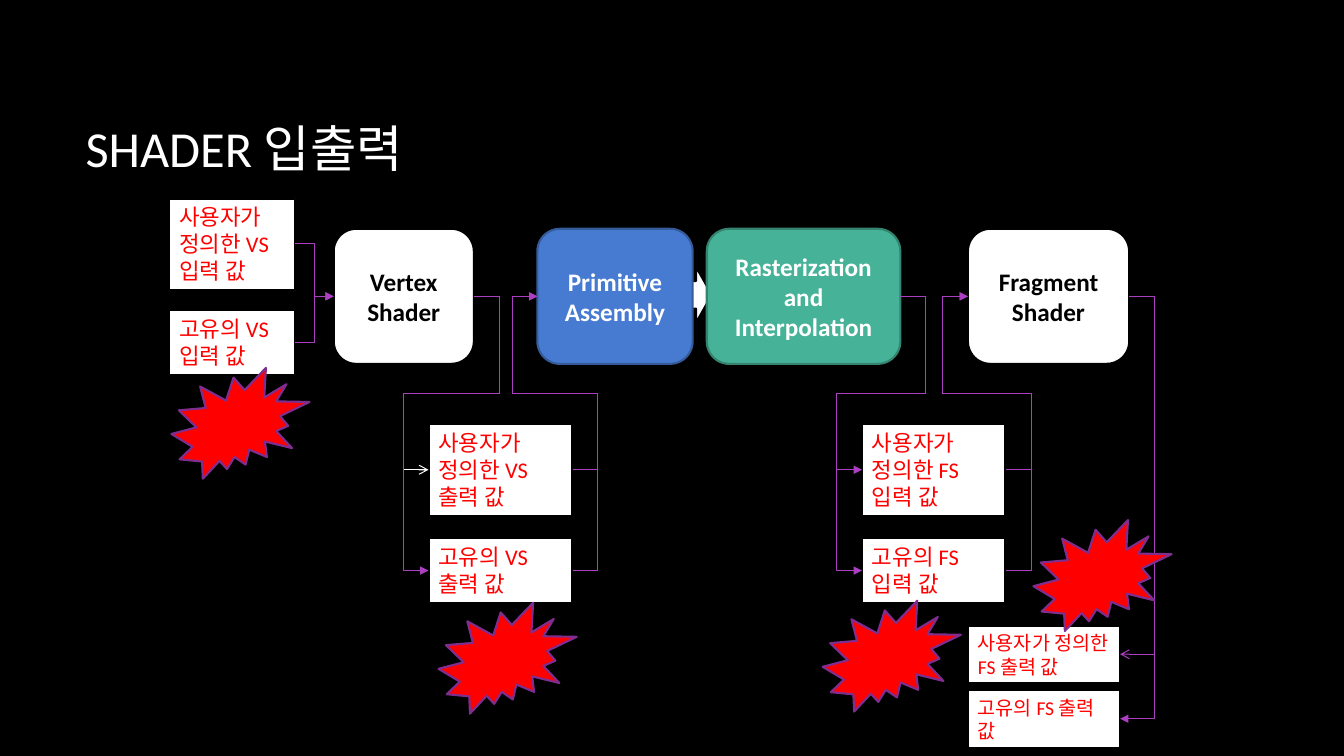
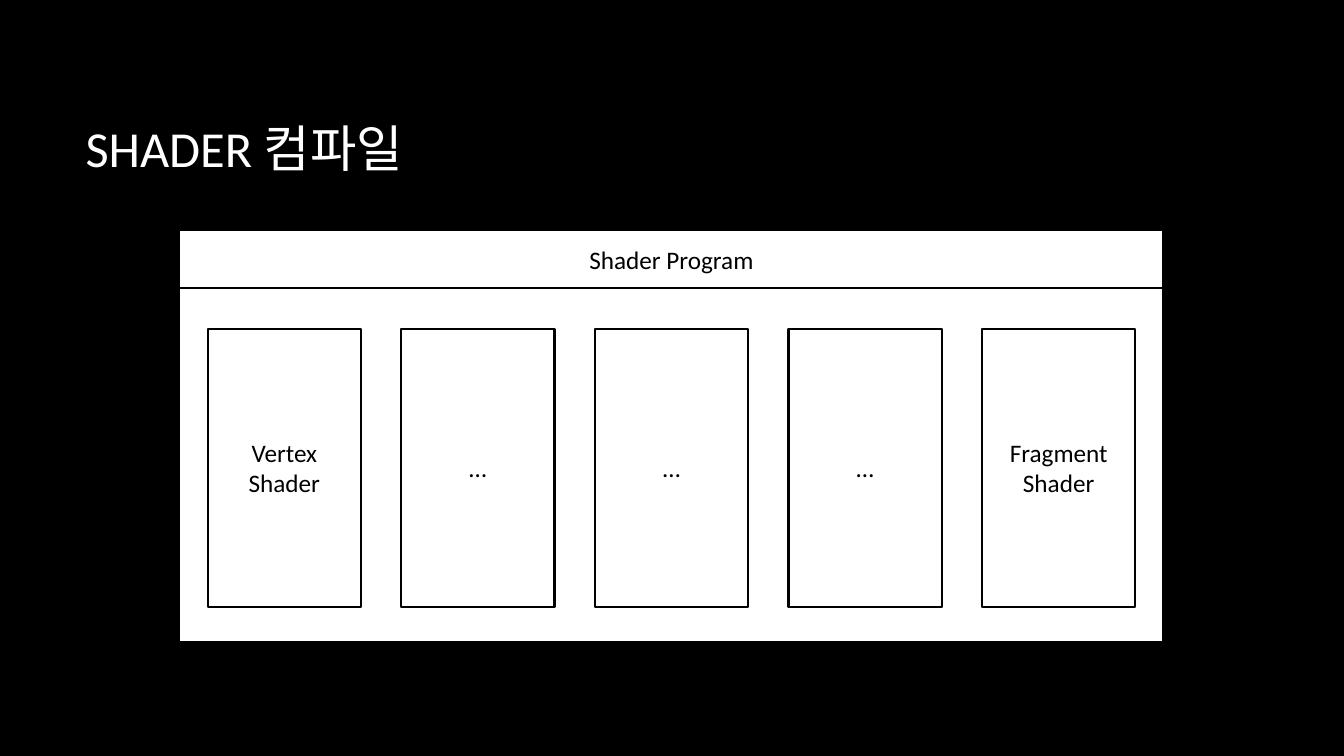
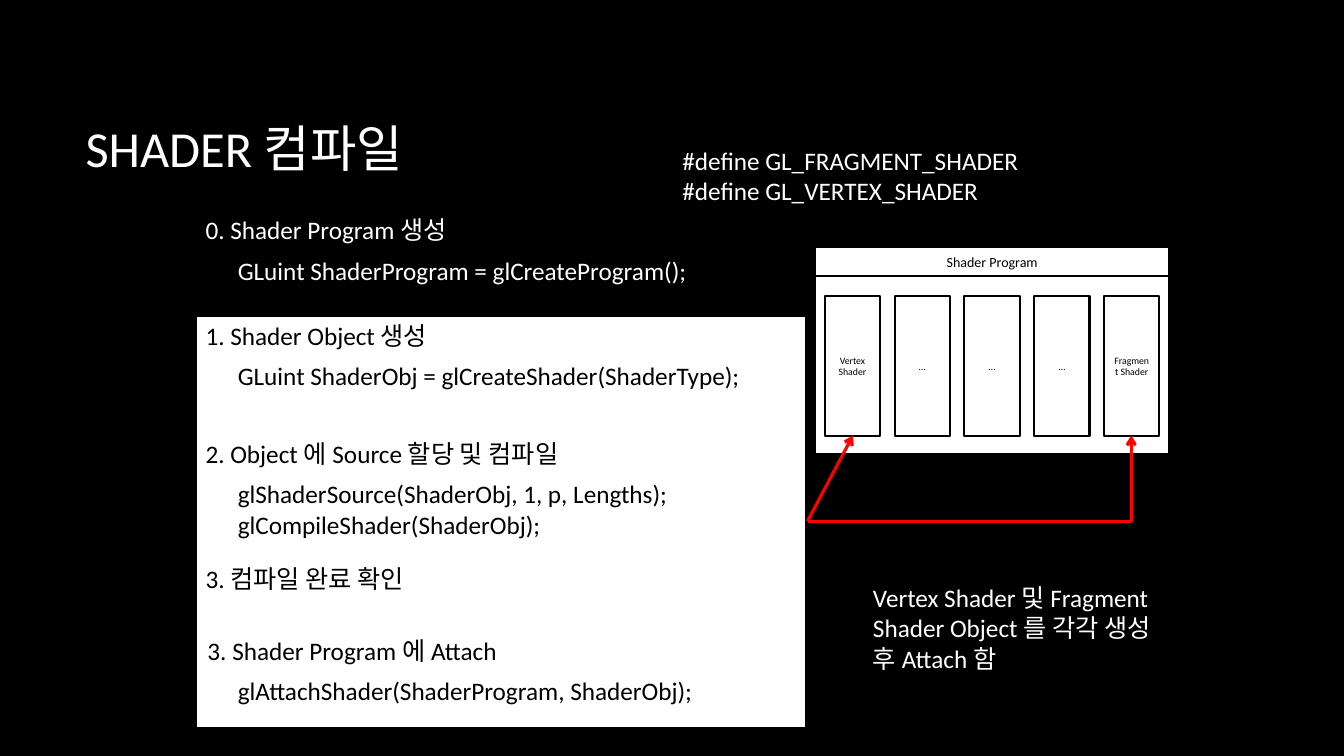
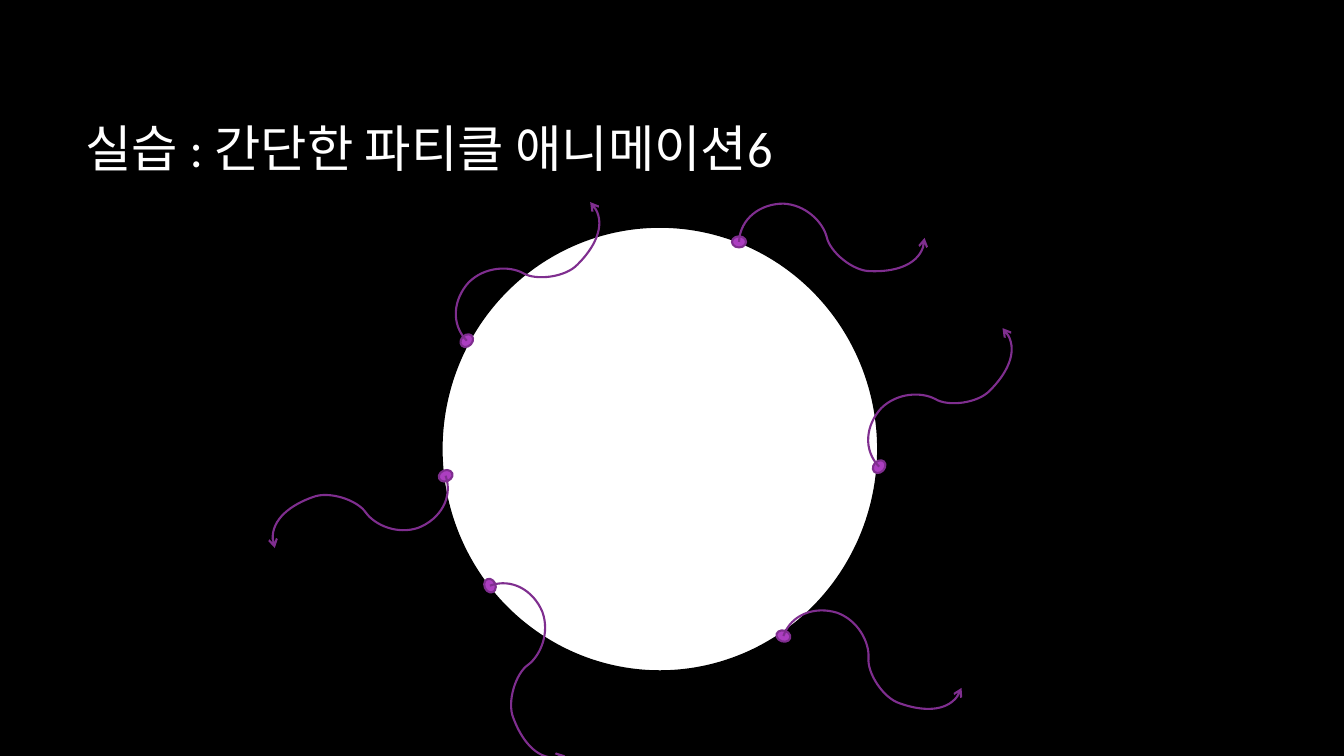
import math

from lxml import etree
from pptx import Presentation
from pptx import util as u
from pptx.dml.color import RGBColor
from pptx.enum import shapes, text
from pptx.oxml.ns import qn

FONT = "Calibri"
BLACK, WHITE, RED = "000000", "FFFFFF", "FF0000"
BLUE, DARK_BLUE = "477BD1", "355B9B"
GREEN, DARK_GREEN = "46B298", "348470"
PURPLE, DARK_PURPLE = "AC3EC1", "7F2E8F"
KIND = shapes.MSO_SHAPE
MIDDLE, TOP = text.MSO_ANCHOR.MIDDLE, text.MSO_ANCHOR.TOP

# Points relative to the start: three per Bezier segment
WAVE = [(0, 0),
        (1, -23), (21, -38), (44, -38),
        (66, -37), (83, -20), (87, -5),
        (90, 10), (113, 29), (130, 29),
        (153, 30), (184, 22), (184, -4)]


def px(n):
    """EMU for a length at 100 px to the inch."""
    return round(n * 9144)


def rgb(value):
    return RGBColor.from_string(value)


def write(sp, content, size, color, bold=False, center=False, anchor=TOP, grow=False):
    tf = sp.text_frame
    tf.text = content
    tf.word_wrap = True
    tf.vertical_anchor = anchor
    if grow:
        tf.auto_size = text.MSO_AUTO_SIZE.SHAPE_TO_FIT_TEXT
    for p in tf.paragraphs:
        p.alignment = text.PP_ALIGN.CENTER if center else text.PP_ALIGN.LEFT
        p.font.name = FONT
        p.font.size = u.Pt(size)
        p.font.bold = bold
        p.font.color.rgb = rgb(color)


def outline(sp, color, width, head=None):
    sp.line.color.rgb = rgb(color)
    sp.line.width = u.Pt(width)
    if head:
        ln = sp._element.spPr.find(qn("a:ln"))
        etree.SubElement(ln, qn("a:tailEnd"), type=head)


def shape(parent, kind, box, fill=WHITE, line=BLACK):
    sp = parent.shapes.add_shape(kind, *map(px, box))
    sp.shadow.inherit = False
    sp.fill.solid()
    sp.fill.fore_color.rgb = rgb(fill)
    outline(sp, line, 1.5)
    return sp


def label(s, box, content, size=18, color=WHITE, **style):
    sp = s.shapes.add_textbox(*map(px, box))
    write(sp, content, size, color, **style)


def connector(s, start, end, bends=None, color=PURPLE, width=0.75, head="triangle"):
    """Straight without bends; else an elbow turning at the given x, y, x."""
    straight = bends is None
    kind = shapes.MSO_CONNECTOR.STRAIGHT if straight else shapes.MSO_CONNECTOR.ELBOW
    cx = s.shapes.add_connector(kind, *map(px, start + end))
    spPr = cx._element.spPr
    if not straight:
        geom = spPr.find(qn("a:prstGeom"))
        geom.set("prst", f"bentConnector{len(bends) + 2}")
        av = geom.find(qn("a:avLst"))
        for i, bend in enumerate(bends):
            a, b = start[i % 2], end[i % 2]
            ratio = round((bend - a) / (b - a) * 100000)
            etree.SubElement(av, qn("a:gd"), name=f"adj{i + 1}", fmla=f"val {ratio}")
    outline(cx, color, width, head)
    etree.SubElement(spPr, qn("a:effectLst"))


def wave(s, x, y, angle):
    """A curved arrow: WAVE turned by angle degrees about its start."""
    cos, sin = math.cos(math.radians(angle)), math.sin(math.radians(angle))
    points = [(px(x + a * cos - b * sin), px(y + a * sin + b * cos)) for a, b in WAVE]
    builder = s.shapes.build_freeform(*points[0])
    builder.add_line_segments(points[1:], close=False)
    sp = builder.convert_to_shape()
    lines = list(sp._element.iter(qn("a:lnTo")))
    for i in range(0, len(lines), 3):
        curve = etree.Element(qn("a:cubicBezTo"))
        lines[i].addprevious(curve)
        for ln in lines[i:i + 3]:
            curve.append(ln[0])
            ln.getparent().remove(ln)
    sp.shadow.inherit = False
    sp.fill.background()
    outline(sp, DARK_PURPLE, 1.5, "arrow")


def titled_slide(prs, title):
    s = prs.slides.add_slide(prs.slide_layouts[6])
    label(s, (75, 67, 1108, 159), title, 36, anchor=MIDDLE)
    return s


def program(s, x, y, w, h, title_size, stage_size):
    """Shader program frame with five stages, scaled to the given box."""
    kx, ky = w / 976, h / 409
    group = s.shapes.add_group_shape()
    shape(group, KIND.RECTANGLE, (x, y, w, h))
    for i, name in enumerate(["Vertex Shader", "…", "…", "…", "Fragment Shader"]):
        box = (x + (28 + 192 * i) * kx, y + 98 * ky, 152 * kx, 276 * ky)
        sp = shape(group, KIND.RECTANGLE, box)
        write(sp, name, stage_size, BLACK, center=True, anchor=MIDDLE)
    sp = shape(group, KIND.RECTANGLE, (x, y, w, 58 * ky))
    write(sp, "Shader Program", title_size, BLACK, center=True, anchor=MIDDLE)


def inputs_outputs(prs):
    s = titled_slide(prs, "SHADER 입출력")
    shape(s, KIND.RIGHT_ARROW, (675, 265, 31, 55))
    for x, w, name, fill, line, color in [
            (331, 139, "Vertex Shader", WHITE, BLACK, BLACK),
            (533, 154, "Primitive Assembly", BLUE, DARK_BLUE, WHITE),
            (701, 192, "Rasterization and Interpolation", GREEN, DARK_GREEN, WHITE),
            (960, 160, "Fragment Shader", WHITE, BLACK, BLACK)]:
        sp = shape(s, KIND.ROUNDED_RECTANGLE, (x, 227, w, 134), fill, line)
        write(sp, name, 18, color, bold=True, center=True, anchor=MIDDLE)

    for box, content, size in [
            ((168, 197, 125, 91), "사용자가 정의한 VS 입력 값", 16),
            ((168, 308, 125, 64), "고유의 VS입력 값", 16),
            ((425, 421, 142, 91), "사용자가 정의한 VS 출력 값", 16),
            ((425, 534, 142, 64), "고유의 VS 출력 값", 16),
            ((855, 421, 142, 91), "사용자가 정의한 FS 입력 값", 16),
            ((855, 534, 142, 64), "고유의 FS 입력 값", 16),
            ((960, 621, 151, 57), "사용자가 정의한 FS 출력 값", 14),
            ((960, 685, 151, 57), "고유의 FS 출력 값", 14)]:
        write(shape(s, KIND.RECTANGLE, box), content, size, RED, grow=True)

    mid, turn = 294, 390
    for y in (242, 340):
        connector(s, (293, y), (331, mid), (312,))
    for y, color, head in [(466, WHITE, "arrow"), (566, PURPLE, "triangle")]:
        connector(s, (470, mid), (425, y), (495, turn, 400), color, head=head)
        connector(s, (568, y), (533, mid), (593, turn, 508))
        connector(s, (893, mid), (855, y), (918, turn, 830))
        connector(s, (998, y), (960, mid), (1023, turn, 935))
    for y, head in [(649, "arrow"), (713, "triangle")]:
        connector(s, (1120, mid), (1111, y), (1145,), head=head)
    for x, y in [(170, 365), (435, 598), (816, 596), (1025, 516)]:
        shape(s, KIND.EXPLOSION2, (x, y, 137, 110), RED, DARK_PURPLE)


def compile_overview(prs):
    s = titled_slide(prs, "SHADER 컴파일")
    program(s, 178, 228, 976, 409, 18, 18)


def compile_steps(prs):
    s = titled_slide(prs, "SHADER 컴파일")
    program(s, 808, 245, 352, 205, 10, 7)
    shape(s, KIND.RECTANGLE, (194, 313, 606, 409))
    step, code = 194, 226
    for x, y, w, h, color, content in [
            (667, 139, 500, 71, WHITE,
             "#define GL_FRAGMENT_SHADER\n#define GL_VERTEX_SHADER"),
            (step, 208, 504, 40, WHITE, "0. Shader Program 생성"),
            (code, 248, 642, 40, WHITE, "GLuint ShaderProgram = glCreateProgram();"),
            (step, 313, 504, 40, BLACK, "1. Shader Object 생성"),
            (code, 353, 642, 40, BLACK,
             "GLuint ShaderObj = glCreateShader(ShaderType);"),
            (step, 430, 504, 40, BLACK, "2. Object 에 Source 할당 및 컴파일"),
            (code, 470, 642, 71, BLACK,
             "glShaderSource(ShaderObj, 1, p, Lengths);\nglCompileShader(ShaderObj);"),
            (step, 554, 504, 40, BLACK, "3. 컴파일 완료 확인"),
            (step + 2, 625, 504, 40, BLACK, "3. Shader Program 에 Attach"),
            (code, 665, 701, 40, BLACK, "glAttachShader(ShaderProgram, ShaderObj);"),
            (856, 573, 311, 131, WHITE,
             "Vertex Shader 및 Fragment Shader Object 를 각각 생성 후 Attach 함")]:
        label(s, (x, y, w, h), content, color=color, grow=True)
    for x, bends in [(846, None), (1122, ())]:
        connector(s, (801, 517), (x, 432), bends, RED, 2.25, "arrow")


def particles(prs):
    s = titled_slide(prs, "실습 : 간단한 파티클 애니메이션6")
    shape(s, KIND.OVAL, (438, 225, 433, 441))
    for x, y, angle in [(463, 338, 312.9), (442, 472, 158.3), (486, 581, 67.4),
                        (777, 631, 17.5), (733, 240, 0), (872, 463, 312.9)]:
        dot = shape(s, KIND.OVAL, (x - 7, y - 5.5, 14, 11), PURPLE, DARK_PURPLE)
        dot.rotation = angle
        wave(s, x, y, angle)


def main():
    prs = Presentation()
    prs.slide_width, prs.slide_height = u.Inches(13.33), px(750)
    fill = prs.slide_master.background.fill
    fill.solid()
    fill.fore_color.rgb = rgb(BLACK)
    inputs_outputs(prs)
    compile_overview(prs)
    compile_steps(prs)
    particles(prs)
    prs.save("out.pptx")


if __name__ == "__main__":
    main()
